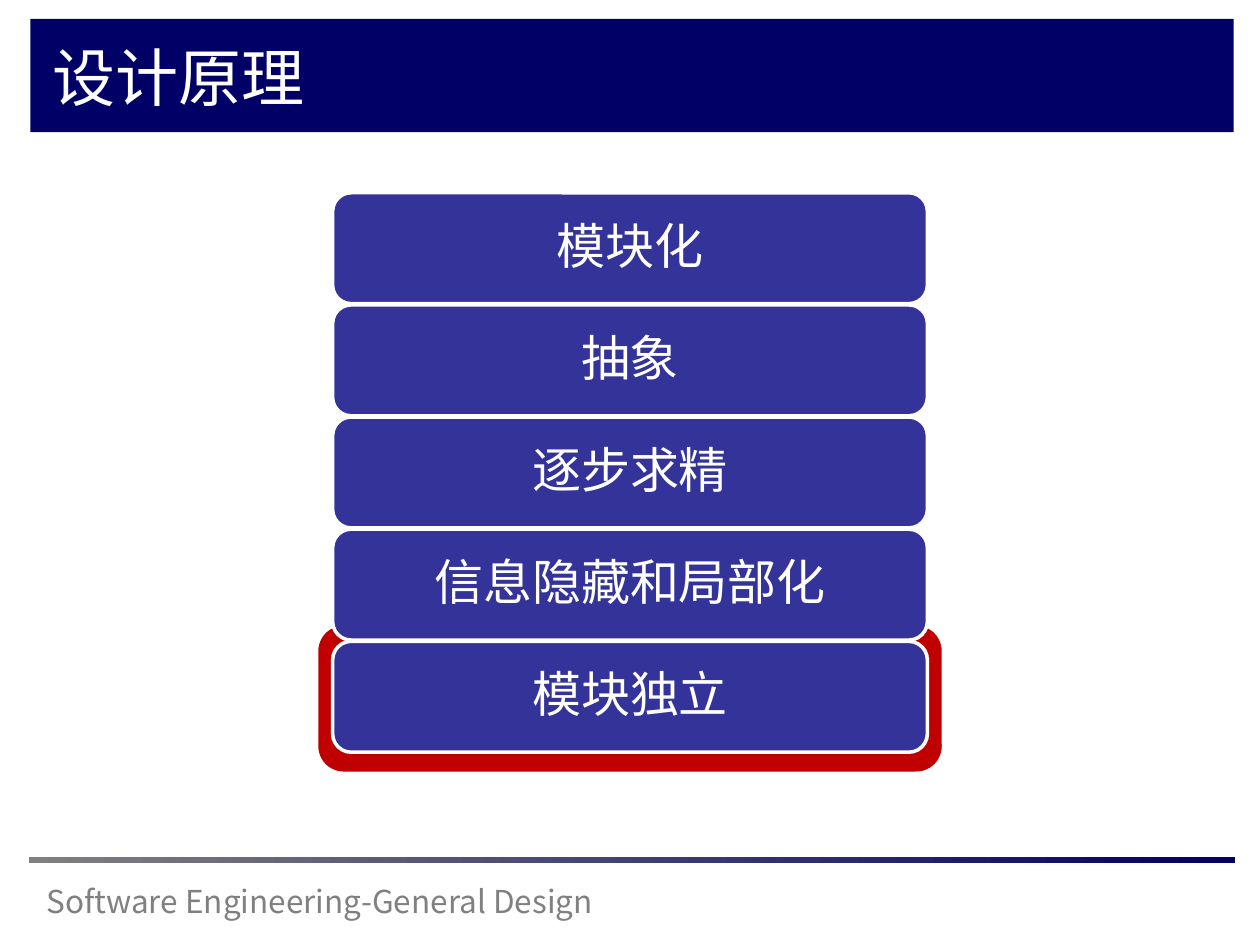
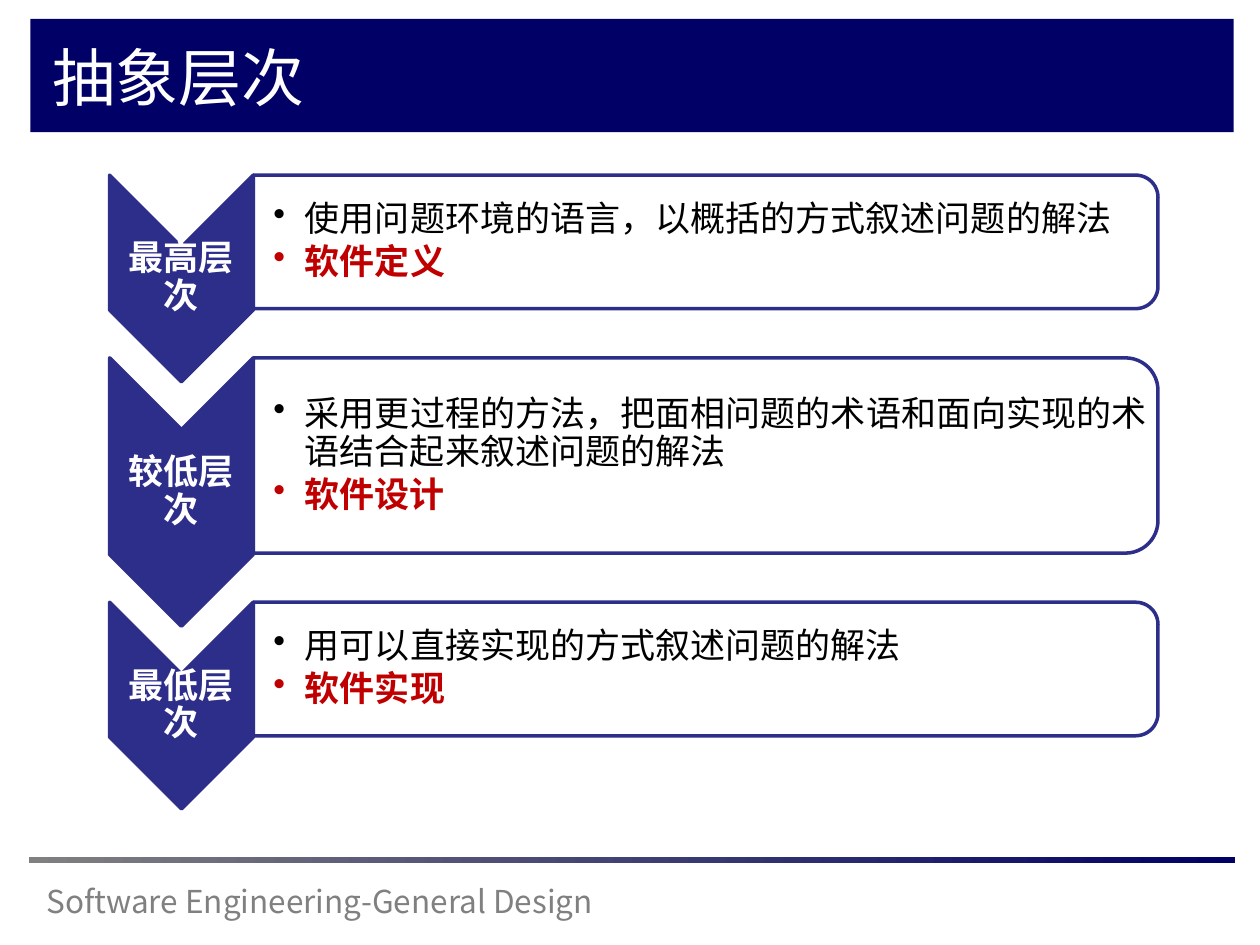
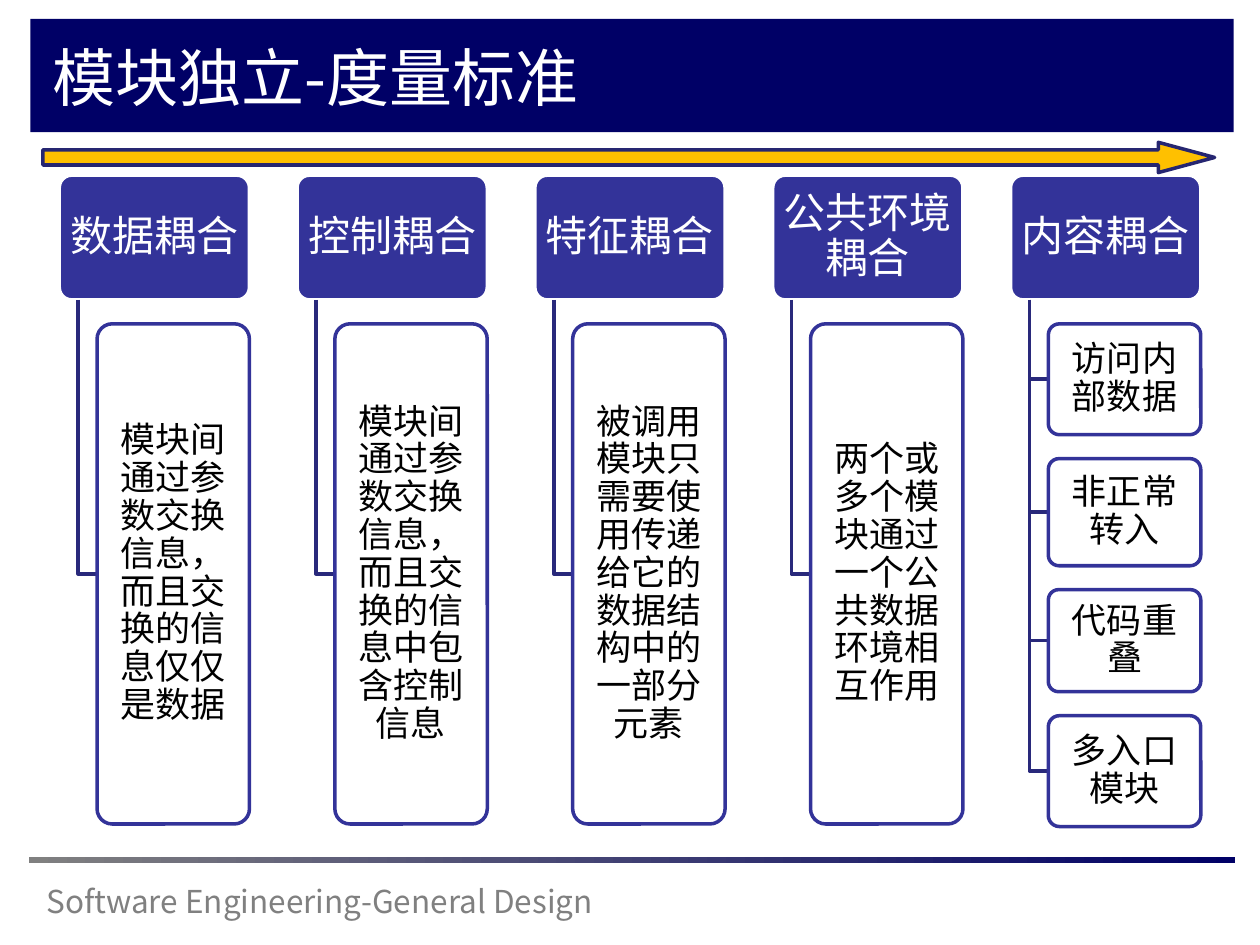
from collections import namedtuple
from dataclasses import dataclass

from lxml import etree
from pptx import Presentation
from pptx.dml.color import RGBColor
from pptx.enum.shapes import MSO_SHAPE as SHAPE
from pptx.enum.text import MSO_ANCHOR as ANCHOR, PP_ALIGN as ALIGN
from pptx.oxml.ns import qn
from pptx.util import Inches, Pt

Box = namedtuple("Box", "x y w h")


@dataclass(frozen=True)
class Theme:
    font: str = "Noto Sans CJK SC"
    navy: str = "000066"
    indigo: str = "333399"
    deep: str = "2D2D8A"
    elbow: str = "29297B"
    arrow_edge: str = "262671"
    gold: str = "FFC000"
    red: str = "C00000"
    gray: str = "808080"
    white: str = "FFFFFF"
    black: str = "000000"
    title: int = 36
    block: int = 28
    head: int = 24
    body: int = 20
    footer: int = 18
    line: int = 2


T = Theme()
FOOTER = "Software Engineering-General Design"
PRINCIPLES = ["模块化", "抽象", "逐步求精", "信息隐藏和局部化", "模块独立"]
LEVELS = [
    ("最高层次", 1.06, "使用问题环境的语言，以概括的方式叙述问题的解法", "软件定义"),
    ("较低层次", 1.55,
     "采用更过程的方法，把面相问题的术语和面向实现的术语结合起来叙述问题的解法", "软件设计"),
    ("最低层次", 1.06, "用可以直接实现的方式叙述问题的解法", "软件实现"),
]
COUPLINGS = [
    ("数据耦合", [("模块间通过参数交换信息，而且交换的信息仅仅是数据", 3.97)]),
    ("控制耦合", [("模块间通过参数交换信息，而且交换的信息中包含控制信息", 3.97)]),
    ("特征耦合", [("被调用模块只需要使用传递给它的数据结构中的一部分元素", 3.97)]),
    ("公共环境耦合", [("两个或多个模块通过一个公共数据环境相互作用", 3.97)]),
    ("内容耦合", [("访问内部数据", 0.88), ("非正常转入", 0.85),
              ("代码重叠", 0.81), ("多入口模块", 0.88)]),
]


def rgb(color):
    return RGBColor.from_string(color)


def set_all(obj, values):
    for name, value in values.items():
        setattr(obj, name, value)


def style(sp, fill=None, line=None, alpha=None):
    sp.shadow.inherit = False
    if fill:
        sp.fill.solid()
        sp.fill.fore_color.rgb = rgb(fill)
    else:
        sp.fill.background()
    if alpha:
        clr = sp.fill._xPr.find(f"{qn('a:solidFill')}/{qn('a:srgbClr')}")
        etree.SubElement(clr, qn("a:alpha"), val=str(alpha * 1000))
    if line:
        sp.line.color.rgb = rgb(line)
        sp.line.width = Pt(T.line)
    else:
        sp.line.fill.background()


def add_shape(s, kind, box, fill, line=None, alpha=None, adj=()):
    sp = s.shapes.add_shape(kind, *map(Inches, box))
    style(sp, fill, line, alpha)
    for i, value in enumerate(adj):
        sp.adjustments[i] = value
    return sp


def add_turned(s, kind, box, fill, alpha=None):
    """Add a shape turned 90 degrees so that it covers the given box."""
    x, y, w, h = box
    sp = add_shape(s, kind, (x + (w - h) / 2, y + (h - w) / 2, h, w),
                   fill, T.deep, alpha)
    sp.rotation = 90


def frame_text(sp, insets=(0.1, 0.05, 0.1, 0.05), anchor=ANCHOR.MIDDLE):
    tf = sp.text_frame
    sides = ("margin_left", "margin_top", "margin_right", "margin_bottom")
    set_all(tf, dict(zip(sides, map(Inches, insets)),
                     word_wrap=True, vertical_anchor=anchor))
    return tf


def write(p, text, size, color, bold=False, **paragraph):
    set_all(p, paragraph)
    r = p.add_run()
    r.text = text
    set_all(r.font, {"name": T.font, "size": Pt(size), "bold": bold})
    r.font.color.rgb = rgb(color)
    latin = r.font._element.find(qn("a:latin"))
    latin.addnext(latin.makeelement(qn("a:ea"), {"typeface": T.font}))


def write_centered(sp, text, size, color, insets, bold=False):
    write(frame_text(sp, insets).paragraphs[0], text, size, color, bold,
          alignment=ALIGN.CENTER, line_spacing=0.9)


def add_bullet(p):
    pPr = p._p.get_or_add_pPr()
    pPr.set("marL", str(Inches(0.25)))
    pPr.set("indent", str(-Inches(0.25)))
    etree.SubElement(pPr, qn("a:buChar"), char="•")


def add_text(s, box):
    return s.shapes.add_textbox(*map(Inches, box))


def add_plain(s, box, text, size, color):
    tf = frame_text(add_text(s, box), anchor=ANCHOR.TOP)
    write(tf.paragraphs[0], text, size, color)


def new_slide(prs, title):
    """Add a slide with the title band, footer rule and footer text."""
    s = prs.slides.add_slide(prs.slide_layouts[6])
    add_shape(s, SHAPE.RECTANGLE, Box(0.24, 0.15, 9.55, 0.9), T.navy)
    add_plain(s, Box(0.27, 6.95, 5.17, 0.4), FOOTER, T.footer, T.gray)
    rule = add_shape(s, SHAPE.RECTANGLE, Box(0.23, 6.8, 9.57, 0.05), T.gray)
    rule.fill.gradient()
    rule.fill.gradient_angle = 0
    for stop, color in zip(rule.fill.gradient_stops, (T.gray, T.navy)):
        stop.color.rgb = rgb(color)
    add_plain(s, Box(0.32, 0.26, 8.81, 0.74), title, T.title, T.white)
    return s


def principle_stack(s, box, pitch=0.89):
    """Stack the principles; box is the first block, the last is highlighted."""
    x, y, w, h = box
    last = y + pitch * (len(PRINCIPLES) - 1)
    add_shape(s, SHAPE.ROUNDED_RECTANGLE,
              Box(x - 0.1, last - 0.11, w + 0.2, h + 0.25), T.red, T.red)
    for i, name in enumerate(PRINCIPLES):
        sp = add_shape(s, SHAPE.ROUNDED_RECTANGLE, Box(x, y + i * pitch, w, h),
                       T.indigo, T.white)
        write_centered(sp, name, T.block, T.white, (0.12,) * 4)


def level_row(s, box, name, detail, phase):
    """Place a chevron and its panel; box is the row without the chevron tip."""
    x, y, w, h = box
    chevron_w = 1.14
    point = chevron_w / 2
    add_turned(s, SHAPE.CHEVRON, Box(x, y, chevron_w, h + 0.58), T.deep)
    label = add_text(s, Box(x, y + point, chevron_w, h + 0.58 - 2 * point))
    write_centered(label, name, T.body, T.white, (0.02, 0.01, 0.02, 0.01), True)

    panel = Box(x + chevron_w, y, w - chevron_w, h)
    add_turned(s, SHAPE.ROUND_2_SAME_RECTANGLE, panel, T.white, 90)
    corner = 0.05 * h
    sp = add_text(s, Box(panel.x, y + corner, panel.w - corner, h - 2 * corner))
    tf = frame_text(sp, (0.16, 0.01, 0.01, 0.01))
    lines = [(tf.paragraphs[0], detail, T.black, False),
             (tf.add_paragraph(), phase, T.red, True)]
    for p, text, color, bold in lines:
        write(p, text, T.body, color, bold, alignment=ALIGN.JUSTIFY,
              line_spacing=0.9, space_after=Pt(3))
        add_bullet(p)


def level_rows(s, box, gap=0.39):
    y = box.y
    for name, h, detail, phase in LEVELS:
        level_row(s, Box(box.x, y, box.w, h), name, detail, phase)
        y += h + gap


def add_elbow(s, x, top, bottom, reach):
    pts = [(Inches(a), Inches(b)) for a, b in
           ((x, top), (x, bottom), (x + reach, bottom))]
    fb = s.shapes.build_freeform(*pts[0])
    fb.add_line_segments(pts[1:], close=False)
    style(fb.convert_to_shape(), line=T.elbow)


def coupling_column(s, box, name, children, gap=0.19, step=0.15):
    """Hang the child boxes below a heading; box is the heading."""
    x, y, w, h = box
    head = add_shape(s, SHAPE.ROUNDED_RECTANGLE, box, T.indigo, T.white, adj=[0.1])
    write_centered(head, name, T.head, T.white, (0.05, 0.03, 0.05, 0.03))
    top = y + h + gap
    for text, child_h in children:
        add_elbow(s, x + step, y + h, top + child_h / 2, step)
        child = Box(x + 2 * step, top, w - 2 * step, child_h)
        sp = add_shape(s, SHAPE.ROUNDED_RECTANGLE, child, T.white, T.indigo, 90, [0.1])
        write_centered(sp, text, T.body, T.black, (0.04, 0.03, 0.04, 0.03))
        top += child_h + gap


def coupling_columns(s, box, head_w=1.51, head_h=0.99):
    pitch = (box.w - head_w) / (len(COUPLINGS) - 1)
    for i, (name, children) in enumerate(COUPLINGS):
        coupling_column(s, Box(box.x + i * pitch, box.y, head_w, head_h),
                        name, children)
    add_shape(s, SHAPE.RIGHT_ARROW, Box(box.x - 0.13, box.y - 0.26, 9.3, 0.24),
              T.gold, T.arrow_edge, adj=[0.5, 1.86])


def main():
    prs = Presentation()
    prs.slide_width, prs.slide_height = Inches(10), Inches(7.5)
    principle_stack(new_slide(prs, "设计原理"), Box(2.64, 1.53, 4.72, 0.88))
    level_rows(new_slide(prs, "抽象层次"), Box(0.87, 1.39, 8.32, 5.03))
    coupling_columns(new_slide(prs, "模块独立-度量标准"), Box(0.47, 1.39, 9.06, 5.16))
    prs.save("out.pptx")


if __name__ == "__main__":
    main()
